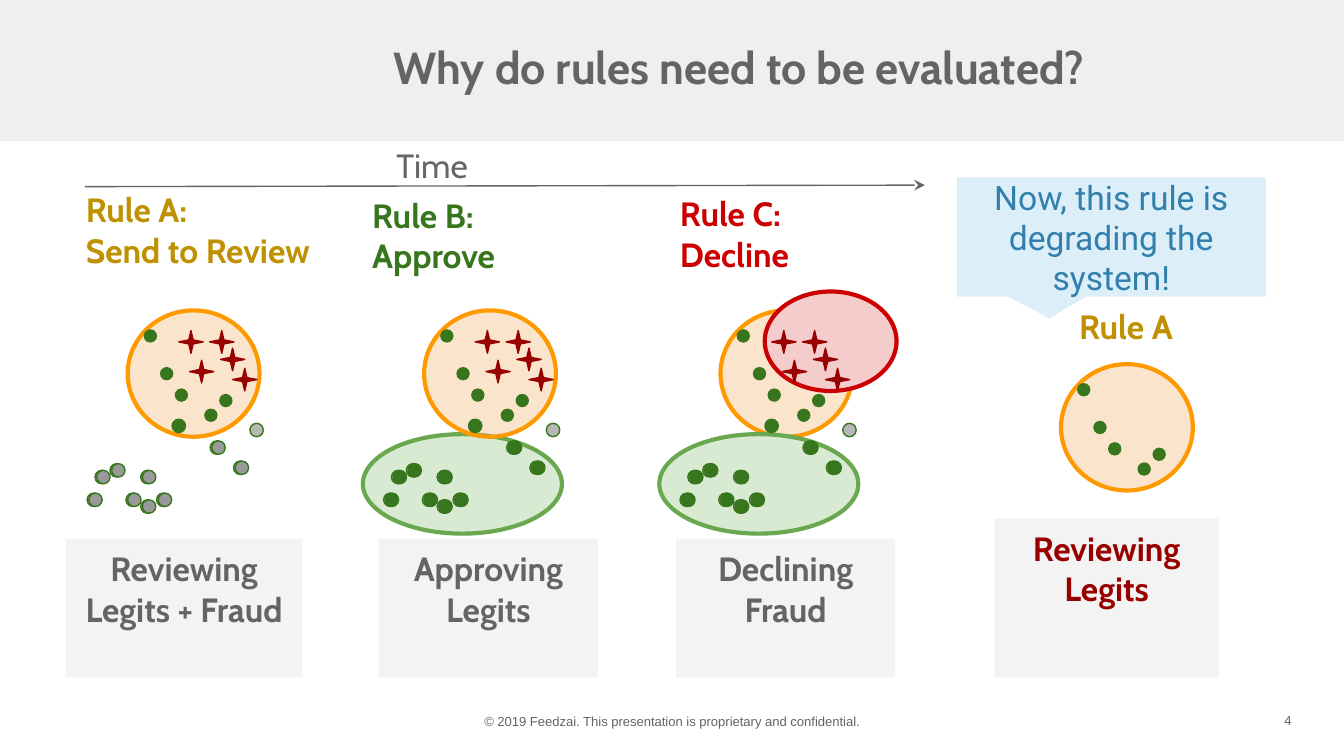
from lxml import etree
from pptx import Presentation
from pptx.dml.color import RGBColor
from pptx.enum.shapes import MSO_CONNECTOR, MSO_SHAPE
from pptx.enum.text import MSO_ANCHOR, PP_ALIGN
from pptx.oxml.ns import qn
from pptx.util import Pt

RECT, OVAL, STAR = MSO_SHAPE.RECTANGLE, MSO_SHAPE.OVAL, MSO_SHAPE.STAR_4_POINT
CALLOUT = MSO_SHAPE.ROUNDED_RECTANGULAR_CALLOUT
STRAIGHT = MSO_CONNECTOR.STRAIGHT
LEFT, CENTER, RIGHT = PP_ALIGN.LEFT, PP_ALIGN.CENTER, PP_ALIGN.RIGHT
TOP, MIDDLE = MSO_ANCHOR.TOP, MSO_ANCHOR.MIDDLE

GREY, PANEL, GOLD = "646464", "F3F3F3", "BF9000"
GREEN, DULL, PALE = "38761D", "999999", "B7B7B7"
DARK_RED, RED, ORANGE = "980000", "CC0000", "FF9900"

DOT = 7.2
STAGE_STEP = 158.8
LEGITS_IN_A = [(109.4, 218.9), (117.4, 211), (93.6, 208.1), (85.7, 196.6), (77, 176.4)]
EDGE_LEGIT = (92.2, 224.6)
UNMATCHED = (133.9, 226.8)
LEGITS_IN_B = [(126, 247), (113.5, 236.2), (47.6, 264.2), (51.8, 252), (76.3, 252),
               (59.8, 248.4), (84.8, 264.2), (68.4, 264.2), (76.3, 267.8)]
FRAUDS = [(95.8, 177.1), (101.5, 193), (124.6, 197.3), (118.1, 186.5), (112.3, 177.1)]


def rgb(color):
    return RGBColor.from_string(color)


def add_shape(shapes, kind, x, y, w, h, fill, line=None, weight=0.75, alpha=None):
    sp = shapes.add_shape(kind, Pt(x), Pt(y), Pt(w), Pt(h))
    sp.shadow.inherit = False
    sp.fill.solid()
    sp.fill.fore_color.rgb = rgb(fill)
    if alpha:
        clr = sp._element.spPr.find(qn("a:solidFill")).find(qn("a:srgbClr"))
        etree.SubElement(clr, qn("a:alpha")).set("val", str(alpha * 1000))
    if line:
        sp.line.color.rgb = rgb(line)
        sp.line.width = Pt(weight)
    else:
        sp.line.fill.background()
    return sp


def write(sp, text, color, size=18, font="Cabin", bold=True, align=LEFT,
          anchor=TOP, inset=(5, 5), spacing=None):
    tf = sp.text_frame
    tf.word_wrap = True
    tf.vertical_anchor = anchor
    tf.margin_left = tf.margin_right = Pt(inset[0])
    tf.margin_top = tf.margin_bottom = Pt(inset[1])
    tf.text = text
    for p in tf.paragraphs:
        p.alignment = align
        p.line_spacing = spacing
        p.font.size = Pt(size)
        p.font.name = font
        p.font.bold = bold
        p.font.color.rgb = rgb(color)


def add_text(s, x, y, w, h, text, color, **style):
    write(s.shapes.add_textbox(Pt(x), Pt(y), Pt(w), Pt(h)), text, color, **style)


def add_panel(s, x, y, w, h, text, color=GREY):
    write(add_shape(s.shapes, RECT, x, y, w, h, PANEL), text, color, align=CENTER)


def add_rule_a(s, dx, dy=0):
    add_shape(s.shapes, OVAL, 68.4 + dx, 166.3 + dy, 70.6, 67.7, "F6B26B", ORANGE, 2.25, 34)


def add_rule_b(s, dx):
    add_shape(s.shapes, OVAL, 35.6 + dx, 232.6, 106.6, 53.3, "D9EAD3", "6AA84F", 2.25)


def add_rule_c(s):
    add_shape(s.shapes, OVAL, 409.7, 156.2, 70.6, 53.3, "F4CCCC", RED, 2.25)


def add_frauds(s, dx):
    group = s.shapes.add_group_shape()
    for x, y in FRAUDS:
        star = add_shape(group.shapes, STAR, x + dx, y, 13, 12.2, "990000", DARK_RED)
        star.adjustments[0] = 0.125


def add_dots(s, points, dx, fill, line=None, dy=0):
    group = s.shapes.add_group_shape()
    for x, y in points:
        add_shape(group.shapes, OVAL, x + dx, y + dy, DOT, DOT, fill, line)


def add_transactions(s, dx, approved):
    add_frauds(s, dx)
    add_dots(s, LEGITS_IN_B, dx - 0.9, DULL, GREEN)
    add_dots(s, [EDGE_LEGIT], dx, GREEN, GREEN)
    add_dots(s, LEGITS_IN_A, dx, GREEN)
    add_dots(s, [UNMATCHED], dx, PALE, GREEN)
    add_dots(s, LEGITS_IN_B, dx, GREEN if approved else DULL, GREEN)


def add_time_arrow(s):
    line = s.shapes.add_connector(STRAIGHT, Pt(45.5), Pt(100), Pt(495.5), Pt(99.2))
    line.line.color.rgb = rgb(GREY)
    line.line.width = Pt(0.75)
    etree.SubElement(line.line._get_or_add_ln(), qn("a:tailEnd")).set("type", "stealth")
    etree.SubElement(line._element.spPr, qn("a:effectLst"))
    add_text(s, 207.4, 72.7, 165.6, 24.5, "Time", "666666", bold=False)


def add_callout(s):
    sp = add_shape(s.shapes, CALLOUT, 512.6, 95, 165.6, 64, "3DA1DA", alpha=18)
    for i, value in enumerate((-0.2, 0.681, 0)):
        sp.adjustments[i] = value
    write(sp, "Now, this rule is degrading the system!", "307FAC", font="Roboto",
          bold=False, align=CENTER, anchor=MIDDLE, inset=(7.2, 7.2))


def add_frame(s):
    add_shape(s.shapes, RECT, 0, 0, 720, 75.6, "EFEFEF")
    add_text(s, 206, 18, 490.3, 38.9, "Why do rules need to be evaluated?", GREY,
             size=24, anchor=MIDDLE, inset=(5, 2.9), spacing=0.9)
    small = dict(size=7, font="Arial", bold=False, inset=(5, 2.9))
    add_text(s, 252.7, 379.4, 214.6, 13.7,
             "© 2019 Feedzai. This presentation is proprietary and confidential.",
             GREY, align=CENTER, **small)
    add_text(s, 521.3, 375.1, 175.7, 21.6, "4", GREY, align=RIGHT, anchor=MIDDLE, **small)


def main():
    prs = Presentation()
    prs.slide_width, prs.slide_height = Pt(720), Pt(405)
    s = prs.slides.add_slide(prs.slide_layouts[6])
    add_frame(s)

    add_rule_a(s, 0)
    add_rule_b(s, STAGE_STEP)
    add_rule_a(s, STAGE_STEP)
    add_rule_a(s, 2 * STAGE_STEP)
    add_rule_c(s)
    add_rule_b(s, 2 * STAGE_STEP)

    stages = [
        ((41, 96.5), "Rule A:\vSend to Review", GOLD,
         (35.3, 126.7), "Reviewing\nLegits + Fraud"),
        ((194.4, 99.4), "Rule B:\vApprove", GREEN, (203, 117.4), "Approving\vLegits"),
        ((359.3, 98.6), "Rule C:\vDecline", RED, (362.2, 117.4), "Declining\vFraud"),
    ]
    for i, (at, rule, color, (x, w), result) in enumerate(stages):
        add_text(s, *at, 165.6, 24.5, rule, color)
        add_panel(s, x, 288.7, w, 74.2, result)
        add_transactions(s, i * STAGE_STEP, approved=i > 0)

    add_time_arrow(s)
    add_rule_a(s, 500, 28.8)
    add_dots(s, LEGITS_IN_A, 500, GREEN, dy=28.8)
    add_text(s, 573.1, 159.1, 78.5, 24.5, "Rule A", GOLD)
    add_panel(s, 532.8, 277.9, 120.2, 85, "Reviewing\nLegits", DARK_RED)
    add_callout(s)
    prs.save("out.pptx")


if __name__ == "__main__":
    main()
